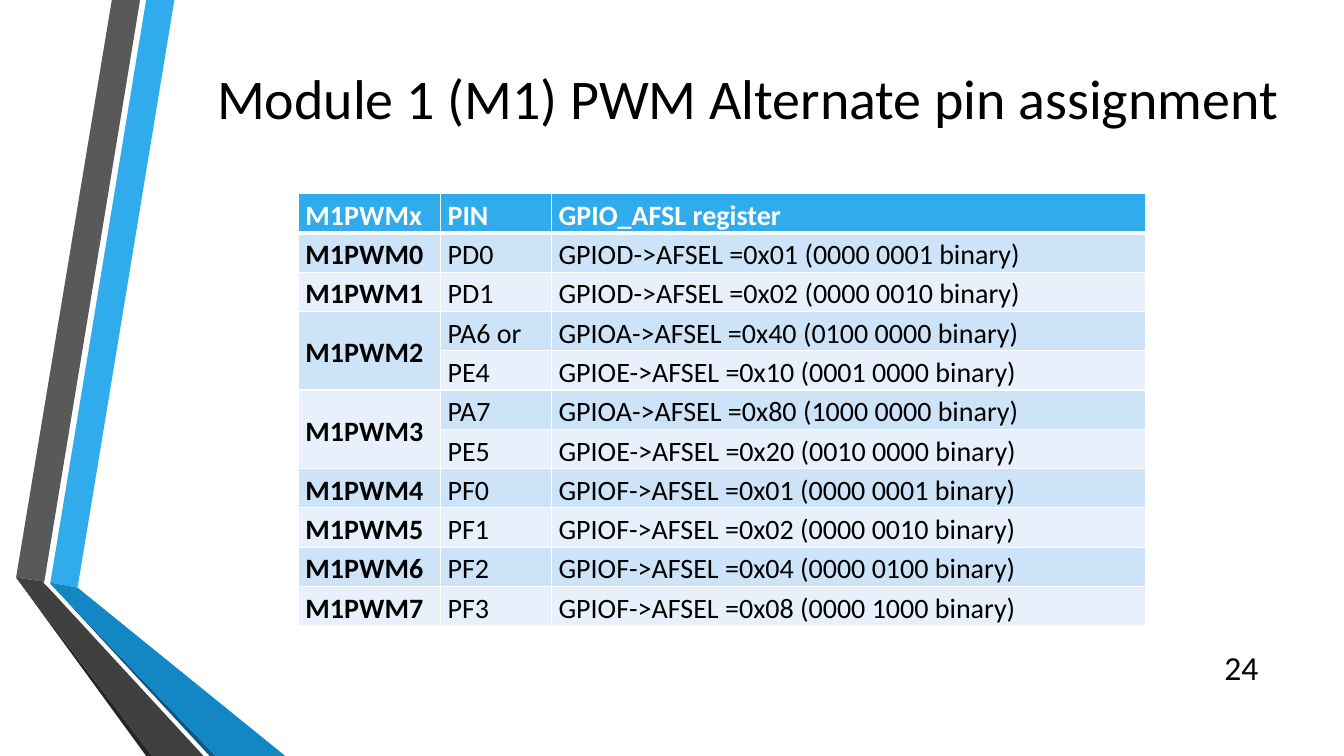
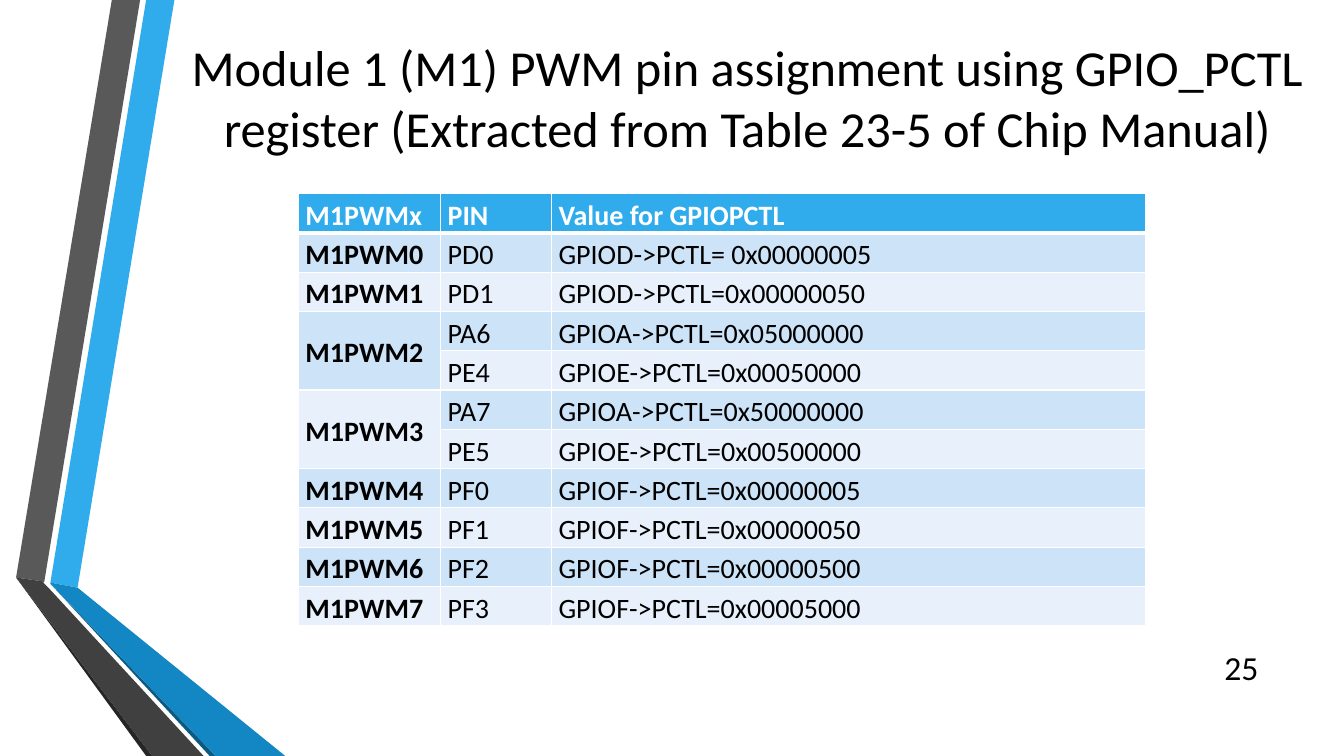
from lxml.etree import SubElement
from pptx import Presentation
from pptx.dml.color import RGBColor
from pptx.enum.text import MSO_ANCHOR, PP_ALIGN
from pptx.oxml.ns import qn
from pptx.util import Emu, Pt

PX = 9144
FONT = "Calibri"
BLACK, WHITE, BLUE = "000000", "FFFFFF", "30ACEC"
BANDS = ("CDE3F8", "E8F1FB")
RIBBONS = [
    (BLUE, [(50, 578), (77, 583), (173, 0), (145, 0)]),
    ("595959", [(139, 0), (111, 0), (16, 573), (44, 577)]),
    ("262626", [(16, 573), (145, 750), (151, 750)]),
    ("0C5A82", [(50, 579), (208, 750), (214, 750)]),
    ("1287C3", [(50, 579), (214, 750), (283, 750), (77, 583), (50, 578)]),
    ("404040", [(202, 750), (48, 583), (43, 578), (44, 577), (16, 573), (151, 750)]),
]
COLUMNS, ROW = (141, 110, 589), 39
PIN_GROUPS = [["PD0"], ["PD1"], ["PA6", "PE4"], ["PA7", "PE5"],
              ["PF0"], ["PF1"], ["PF2"], ["PF3"]]
SLIDES = [
    dict(number=24, size=40, title="Module 1 (M1) PWM Alternate pin assignment",
         heading="GPIO_AFSL register", renamed={"PA6": "PA6 or"}, values=[
             "GPIOD->AFSEL =0x01 (0000 0001 binary)",
             "GPIOD->AFSEL =0x02 (0000 0010 binary)",
             "GPIOA->AFSEL =0x40 (0100 0000 binary)",
             "GPIOE->AFSEL =0x10 (0001 0000 binary)",
             "GPIOA->AFSEL =0x80 (1000 0000 binary)",
             "GPIOE->AFSEL =0x20 (0010 0000 binary)",
             "GPIOF->AFSEL =0x01 (0000 0001 binary)",
             "GPIOF->AFSEL =0x02 (0000 0010 binary)",
             "GPIOF->AFSEL =0x04 (0000 0100 binary)",
             "GPIOF->AFSEL =0x08 (0000 1000 binary)"]),
    dict(number=25, size=36,
         title="Module 1 (M1) PWM pin assignment using GPIO_PCTL register "
               "(Extracted from Table 23-5 of Chip Manual)",
         heading="Value for GPIOPCTL", renamed={}, values=[
             "GPIOD->PCTL= 0x00000005",
             "GPIOD->PCTL=0x00000050",
             "GPIOA->PCTL=0x05000000",
             "GPIOE->PCTL=0x00050000",
             "GPIOA->PCTL=0x50000000",
             "GPIOE->PCTL=0x00500000",
             "GPIOF->PCTL=0x00000005",
             "GPIOF->PCTL=0x00000050",
             "GPIOF->PCTL=0x00000500",
             "GPIOF->PCTL=0x00005000"]),
]


def px(*lengths):
    """Turn px lengths into EMU."""
    return [Emu(n * PX) for n in lengths]


def paint(fill, color):
    """Give a fill one solid colour."""
    fill.solid()
    fill.fore_color.rgb = RGBColor.from_string(color)


def write(tf, text, size=20, color=BLACK, bold=False, align=PP_ALIGN.LEFT, spacing=1.0):
    """Write one formatted paragraph into a text frame."""
    p = tf.paragraphs[0]
    p.alignment, p.line_spacing = align, spacing
    r = p.add_run()
    r.text = text
    r.font.name, r.font.size, r.font.bold = FONT, Pt(size), bold
    r.font.color.rgb = RGBColor.from_string(color)


def add_text(s, box, text, **fmt):
    """Add a wrapped, vertically centred text box."""
    tf = s.shapes.add_textbox(*px(*box)).text_frame
    tf.word_wrap = True
    tf.vertical_anchor = MSO_ANCHOR.MIDDLE
    write(tf, text, **fmt)


def add_ribbon(s, color, points):
    """Add one filled polygon of the folded ribbons."""
    builder = s.shapes.build_freeform(*points[0], scale=PX)
    builder.add_line_segments(points[1:], close=True)
    sp = builder.convert_to_shape()
    sp.shadow.inherit = False
    paint(sp.fill, color)
    sp.line.fill.background()


def set_borders(cell, bottom):
    """Draw white cell borders of 1 pt, with the given bottom width."""
    tc_pr = cell._tc.get_or_add_tcPr()
    for i, (side, width) in enumerate(zip("LRTB", (1, 1, 1, bottom))):
        ln = SubElement(tc_pr, qn(f"a:ln{side}"), w=str(Pt(width)))
        SubElement(SubElement(ln, qn("a:solidFill")), qn("a:srgbClr"), val=WHITE)
        tc_pr.insert(i, ln)


def fill_cell(cell, text, fill, bottom=1, **fmt):
    """Format a table cell and write its text."""
    cell.margin_left, cell.margin_right, cell.margin_top, cell.margin_bottom = px(7, 7, 0, 0)
    paint(cell.fill, fill)
    set_borders(cell, bottom)
    write(cell.text_frame, text, spacing=1.15, **fmt)


def add_pin_table(s, heading, renamed, values):
    """Add the table of outputs, pins and register values."""
    count = len(values) + 1
    table = s.shapes.add_table(count, len(COLUMNS),
                               *px(296, 192, sum(COLUMNS), ROW * count)).table
    for column, width in zip(table.columns, px(*COLUMNS)):
        column.width = width
    for row in table.rows:
        row.height = Emu(ROW * PX)
    for i, text in enumerate(("M1PWMx", "PIN", heading)):
        fill_cell(table.cell(0, i), text, BLUE, bottom=3, color=WHITE, bold=True)
    row = 1
    for i, pins in enumerate(PIN_GROUPS):
        label = table.cell(row, 0)
        fill_cell(label, f"M1PWM{i}", BANDS[i % 2], bold=True)
        if len(pins) > 1:
            label.merge(table.cell(row + len(pins) - 1, 0))
            label.vertical_anchor = MSO_ANCHOR.MIDDLE
        for pin in pins:
            band = BANDS[(row - 1) % 2]
            fill_cell(table.cell(row, 1), renamed.get(pin, pin), band)
            fill_cell(table.cell(row, 2), values[row - 1], band)
            row += 1


def add_slide(prs, number, title, size, **pin_table):
    """Add a slide with ribbons, title, page number and pin table."""
    s = prs.slides.add_slide(prs.slide_layouts[6])
    for color, points in RIBBONS:
        add_ribbon(s, color, points)
    add_text(s, (150, 0, 1183, 192), title, size=size, align=PP_ALIGN.CENTER)
    add_text(s, (1198, 642, 60, 40), str(number), size=24, align=PP_ALIGN.RIGHT)
    add_pin_table(s, **pin_table)


def main():
    """Build and save the presentation."""
    prs = Presentation()
    prs.slide_width, prs.slide_height = px(1333, 750)
    for content in SLIDES:
        add_slide(prs, **content)
    prs.save("out.pptx")


if __name__ == "__main__":
    main()
